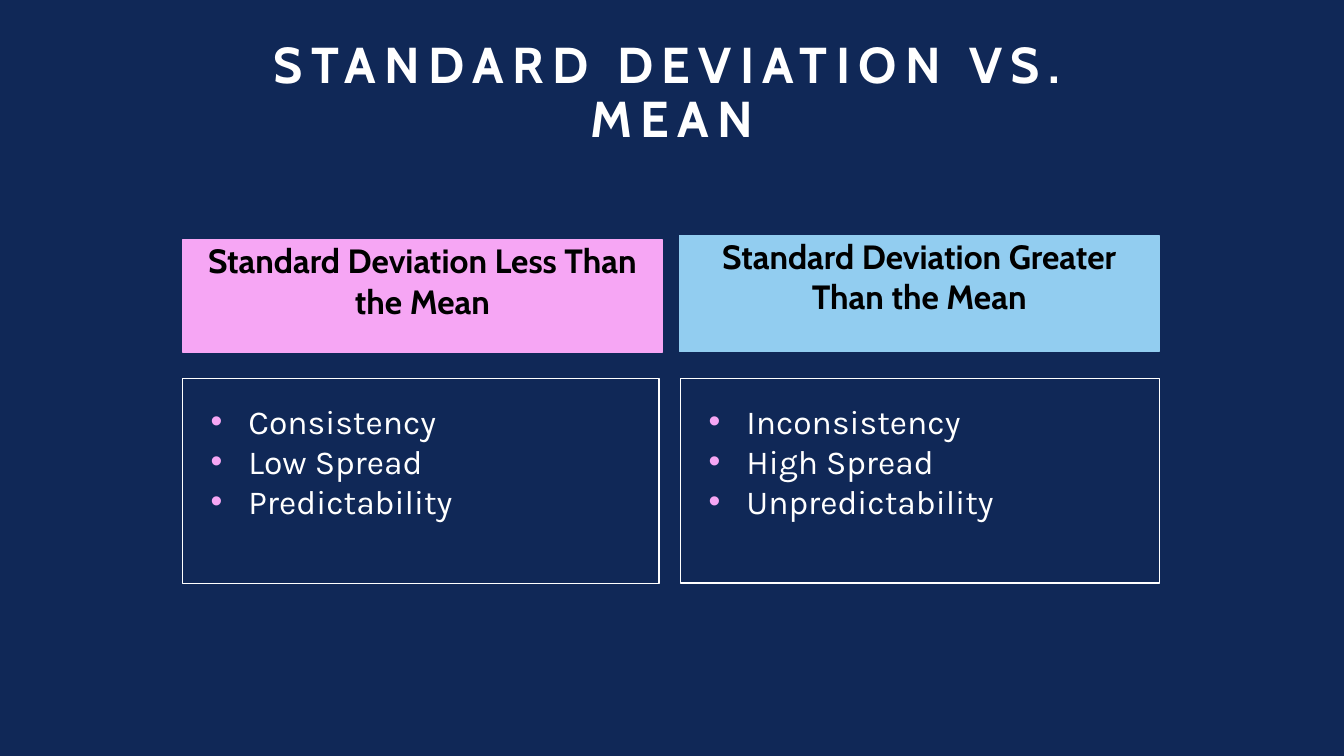
import pptx
import pptx.dml.color
import pptx.enum.text
import pptx.util
from lxml import etree
from pptx.oxml.ns import qn

Cm = pptx.util.Cm
Pt = pptx.util.Pt
RGBColor = pptx.dml.color.RGBColor
Align = pptx.enum.text.PP_ALIGN
Anchor = pptx.enum.text.MSO_ANCHOR

NAVY = RGBColor(0x10, 0x28, 0x57)
PINK = RGBColor(0xF6, 0xA6, 0xF4)
BLUE = RGBColor(0x92, 0xCD, 0xF0)
WHITE = RGBColor(0xFF, 0xFF, 0xFF)
BLACK = RGBColor(0, 0, 0)

# Heading, heading box, fill, points, list box; boxes are in centimetres
COLUMNS = [
    ("Standard Deviation Less Than the Mean", (4.6, 6.05, 12.09, 2.82), PINK,
     ["Consistency", "Low Spread", "Predictability"],
     (4.6, 9.53, 12.01, 5.18)),
    ("Standard Deviation Greater Than the Mean", (17.12, 5.94, 12.09, 2.92), BLUE,
     ["Inconsistency", "High Spread", "Unpredictability"],
     (17.15, 9.53, 12.07, 5.16)),
]


def place(shape, box, insets, anchor):
    """Move a placeholder and set up its text frame (insets: left, top, right, bottom)."""
    shape.left, shape.top, shape.width, shape.height = map(Cm, box)
    frame = shape.text_frame
    frame.word_wrap = True
    frame.auto_size = pptx.enum.text.MSO_AUTO_SIZE.NONE
    frame.vertical_anchor = anchor
    (frame.margin_left, frame.margin_top,
     frame.margin_right, frame.margin_bottom) = map(Cm, insets)
    return frame


def outline(shape, color):
    shape.line.color.rgb = color
    shape.line.width = Pt(1)


def write(paragraph, text, font, size, color, bold=False, align=Align.LEFT, spacing=1.0):
    paragraph.alignment = align
    paragraph.line_spacing = spacing
    paragraph.space_before = Pt(0)
    run = paragraph.add_run()
    run.text = text
    run.font.name = font
    run.font.size = Pt(size)
    run.font.bold = bold
    run.font.color.rgb = color
    return run


def add_bullet(paragraph, color):
    properties = paragraph._p.get_or_add_pPr()
    properties.set("marL", str(Cm(0.95)))
    properties.set("indent", str(-Cm(0.95)))
    bullet_color = etree.SubElement(properties, qn("a:buClr"))
    etree.SubElement(bullet_color, qn("a:srgbClr"), val=str(color))
    etree.SubElement(properties, qn("a:buFont"), typeface="Arial")
    etree.SubElement(properties, qn("a:buChar"), char="•")


def fill_title(shape):
    frame = place(shape, (4.62, 1.7, 24.61, 3.63), (0.25, 0.13, 0.25, 1.58), Anchor.BOTTOM)
    run = write(frame.paragraphs[0], "STANDARD DEVIATION VS. MEAN", "Cabin", 36, WHITE,
                bold=True, align=Align.CENTER, spacing=0.9)
    run.font._element.set("spc", "600")


def fill_heading(shape, text, box, color):
    frame = place(shape, box, (0.25, 0, 0.25, 0), Anchor.TOP)
    shape.fill.solid()
    shape.fill.fore_color.rgb = color
    outline(shape, color)
    write(frame.paragraphs[0], text, "Cabin", 24, BLACK, bold=True, align=Align.CENTER)


def fill_list(shape, points, box):
    frame = place(shape, box, (0.71, 0.56, 0.76, 0.13), Anchor.TOP)
    outline(shape, WHITE)
    for index, point in enumerate(points):
        paragraph = frame.add_paragraph() if index else frame.paragraphs[0]
        write(paragraph, point, "Karla", 24, WHITE)
        add_bullet(paragraph, PINK)


def main():
    presentation = pptx.Presentation()
    presentation.slide_width = Cm(33.87)
    presentation.slide_height = Cm(19.05)

    # Comparison layout: title, then a heading and a list per column
    slide = presentation.slides.add_slide(presentation.slide_layouts.get_by_name("Comparison"))
    slide.background.fill.solid()
    slide.background.fill.fore_color.rgb = NAVY
    fill_title(slide.shapes.title)

    # Columns
    placeholders = {shape.placeholder_format.idx: shape for shape in slide.placeholders}
    for column, (heading, heading_box, color, points, list_box) in enumerate(COLUMNS):
        fill_heading(placeholders[2 * column + 1], heading, heading_box, color)
        fill_list(placeholders[2 * column + 2], points, list_box)

    presentation.save("out.pptx")


if __name__ == "__main__":
    main()
